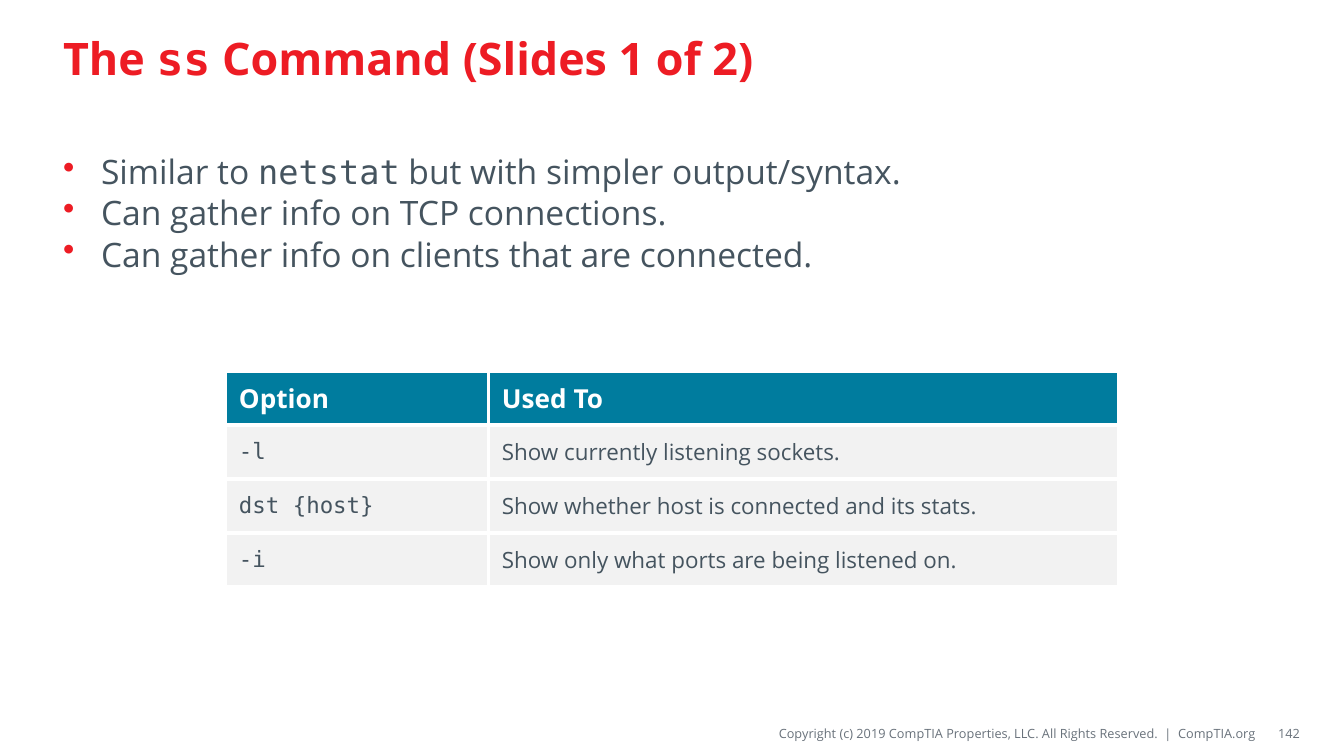
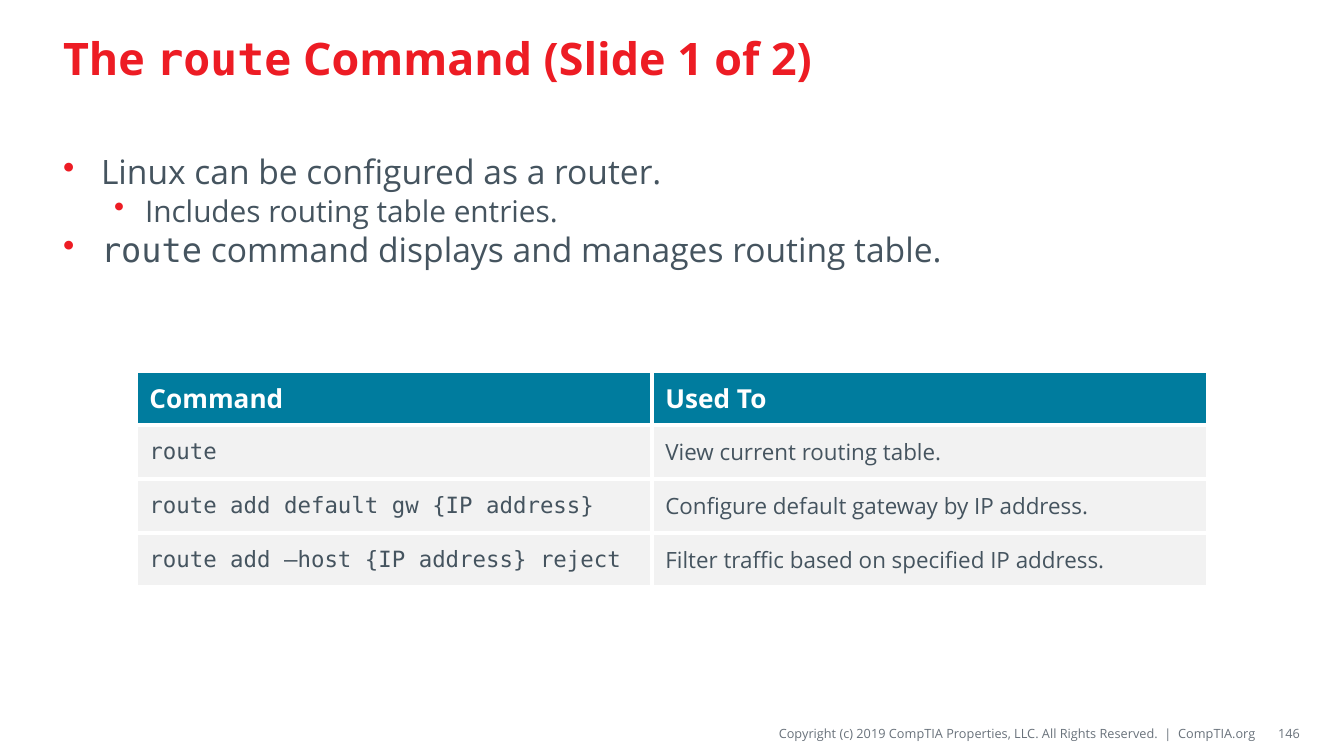
"""Build two slides on the ss and route commands."""
from lxml import etree
from pptx import Presentation
from pptx import util as u
from pptx.dml.color import RGBColor
from pptx.enum import text
from pptx.oxml import ns

WIDTH, HEIGHT = 1344, 756
SCALE = 10 * 914400 / WIDTH
COLOURS = {
    "title": "ED1C24",
    "body": "45545F",
    "footer": "69727B",
    "header": "007C9E",
    "row": "F2F2F2",
    "white": "FFFFFF",
}
FONT, CODE_FONT = "Open Sans", "DejaVu Sans Mono"
COPYRIGHT = "Copyright (c) 2019 CompTIA Properties, LLC. All Rights Reserved.  |  CompTIA.org"
TABLE_TOP, ROW_HEIGHT = 371, 54
BORDER = u.Pt(2.25)
BULLET_LEVELS = [(18, 38, 38), (16, 82, 31)]


def px(length):
    """Turn a length in px into EMU."""
    return u.Emu(round(length * SCALE))


def colour(name):
    """Look up a colour of the deck."""
    return RGBColor.from_string(COLOURS[name])


def write(para, content, size, colour_name, bold=False):
    """Write text into a paragraph, with code marked by backticks."""
    spans = [(part, CODE_FONT if index % 2 else FONT)
             for index, part in enumerate(content.split("`")) if part]
    para.font.size = u.Pt(size)
    para.font.bold = bold
    para.font.color.rgb = colour(colour_name)
    for part, font in spans:
        span = para.add_run()
        span.text = part
        if len(spans) > 1:
            span.font.name = font
    if len(spans) == 1:
        para.font.name = spans[0][1]


def add_box(page, left, top, width, height, insets=(13, 7, 13, 7),
            anchor=text.MSO_ANCHOR.MIDDLE):
    """Add a wrapping text box and return its text frame."""
    box = page.shapes.add_textbox(*map(px, (left, top, width, height)))
    frame = box.text_frame
    frame.word_wrap = True
    frame.vertical_anchor = anchor
    (frame.margin_left, frame.margin_top,
     frame.margin_right, frame.margin_bottom) = map(px, insets)
    return frame


def add_title(page, content):
    """Add the slide title."""
    frame = add_box(page, 50, 11, 1243, 93)
    write(frame.paragraphs[0], content, 24, "title", bold=True)


def add_footer(page, number):
    """Add the copyright line and the page number."""
    copyright_box = add_box(page, 521, 718, 735, 30, (0, 5, 0, 5))
    number_box = add_box(page, 1261, 718, 39, 30, (13, 7, 0, 7))
    for frame, content in ((copyright_box, COPYRIGHT), (number_box, str(number))):
        para = frame.paragraphs[0]
        para.alignment = text.PP_ALIGN.RIGHT
        write(para, content, 6.8, "footer")


def add_bullet(para, indent, hanging):
    """Give a paragraph a coloured bullet with a hanging indent."""
    properties = para._p.get_or_add_pPr()
    properties.set("marL", str(px(indent)))
    properties.set("indent", str(-px(hanging)))
    bullet_colour = etree.SubElement(properties, ns.qn("a:buClr"))
    etree.SubElement(bullet_colour, ns.qn("a:srgbClr"), val=COLOURS["title"])
    etree.SubElement(properties, ns.qn("a:buChar"), char="•")


def add_bullets(page, items):
    """Add the bulleted body from pairs of level and text."""
    frame = add_box(page, 50, 144, 1243, 524, anchor=text.MSO_ANCHOR.TOP)
    for index, (level, content) in enumerate(items):
        para = frame.add_paragraph() if index else frame.paragraphs[0]
        size, indent, hanging = BULLET_LEVELS[level]
        para.level = level
        add_bullet(para, indent, hanging)
        if index:
            para.space_before = u.Pt(0.6)
        write(para, content, size, "body")


def add_borders(cell):
    """Draw white lines on all sides of a cell."""
    properties = cell._tc.get_or_add_tcPr()
    for side in ("lnL", "lnR", "lnT", "lnB"):
        line = etree.SubElement(properties, ns.qn(f"a:{side}"), w=str(BORDER))
        fill = etree.SubElement(line, ns.qn("a:solidFill"))
        etree.SubElement(fill, ns.qn("a:srgbClr"), val=COLOURS["white"])


def add_option_table(page, widths, rows):
    """Add a centred table whose first row is the header."""
    total = sum(widths)
    table = page.shapes.add_table(
        len(rows), len(widths), px((WIDTH - total) / 2), px(TABLE_TOP),
        px(total), px(ROW_HEIGHT * len(rows))).table
    table.horz_banding = False
    for column, width in zip(table.columns, widths):
        column.width = px(width)
    for row_index, row in enumerate(rows):
        header = row_index == 0
        table.rows[row_index].height = px(ROW_HEIGHT)
        for column_index, content in enumerate(row):
            cell = table.cell(row_index, column_index)
            add_borders(cell)
            cell.fill.solid()
            cell.fill.fore_color.rgb = colour("header" if header else "row")
            cell.vertical_anchor = text.MSO_ANCHOR.MIDDLE
            write(cell.text_frame.paragraphs[0], content, 14 if header else 12,
                  "white" if header else "body", bold=header)


def add_command_slide(deck, number, title, bullets, widths, rows):
    """Add one slide with title, bullets, table and footer."""
    page = deck.slides.add_slide(deck.slide_layouts[6])
    add_footer(page, number)
    add_title(page, title)
    add_bullets(page, bullets)
    add_option_table(page, widths, rows)


def main():
    """Build and save the deck."""
    deck = Presentation()
    deck.slide_width, deck.slide_height = px(WIDTH), px(HEIGHT)
    add_command_slide(
        deck, 142, "The `ss` Command (Slides 1 of 2)",
        [(0, "Similar to `netstat` but with simpler output/syntax."),
         (0, "Can gather info on TCP connections."),
         (0, "Can gather info on clients that are connected.")],
        (263, 630),
        [("Option", "Used To"),
         ("`-l`", "Show currently listening sockets."),
         ("`dst {host}`", "Show whether host is connected and its stats."),
         ("`-i`", "Show only what ports are being listened on.")])
    add_command_slide(
        deck, 146, "The `route` Command (Slide 1 of 2)",
        [(0, "Linux can be configured as a router."),
         (1, "Includes routing table entries."),
         (0, "`route` command displays and manages routing table.")],
        (516, 556),
        [("Command", "Used To"),
         ("`route`", "View current routing table."),
         ("`route add default gw {IP address}`",
          "Configure default gateway by IP address."),
         ("`route add –host {IP address} reject`",
          "Filter traffic based on specified IP address.")])
    deck.save("out.pptx")


if __name__ == "__main__":
    main()
